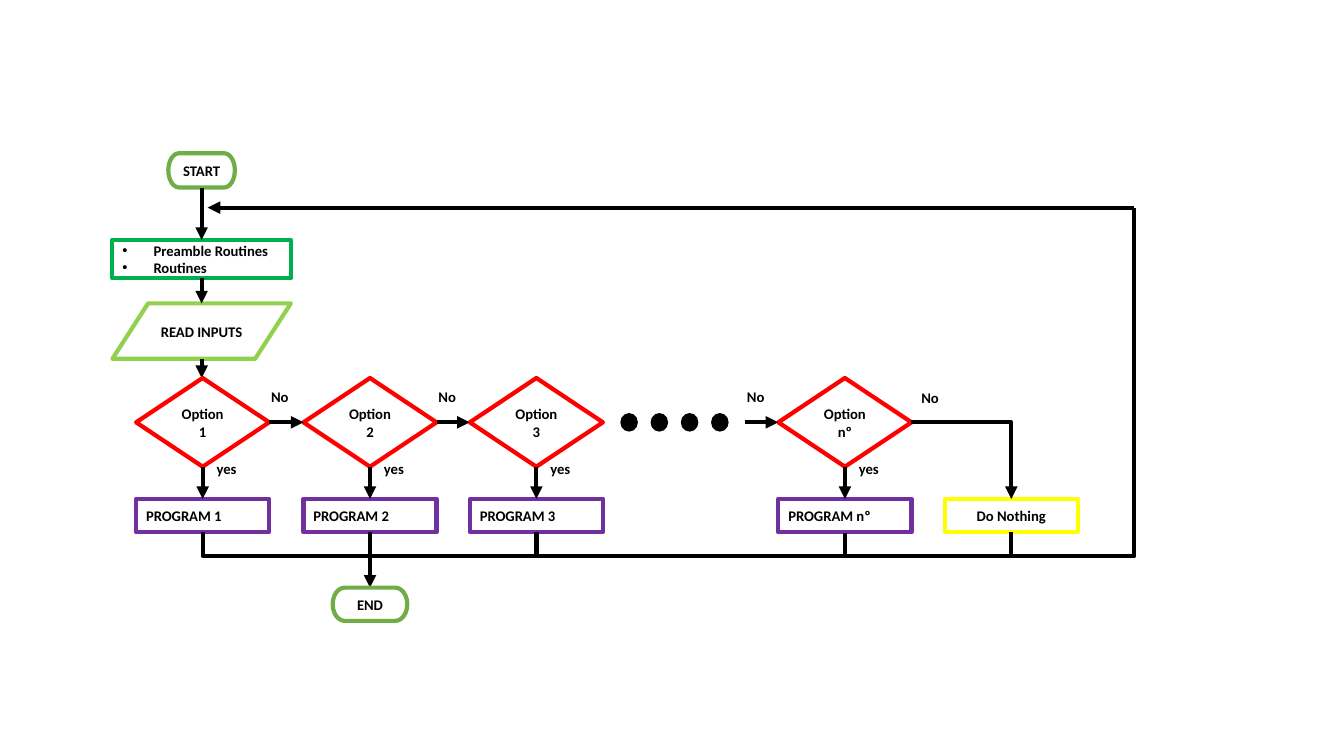
from dataclasses import dataclass

from lxml import etree
from pptx import Presentation
from pptx.dml.color import RGBColor
from pptx.enum.shapes import MSO_CONNECTOR, MSO_SHAPE
from pptx.enum.text import MSO_ANCHOR, MSO_AUTO_SIZE, PP_ALIGN
from pptx.oxml.ns import qn
from pptx.util import Inches, Pt

TERMINATOR = MSO_SHAPE.FLOWCHART_TERMINATOR
INPUT_OUTPUT = MSO_SHAPE.FLOWCHART_DATA
DECISION = MSO_SHAPE.FLOWCHART_DECISION
PROCESS = MSO_SHAPE.FLOWCHART_PROCESS
DOT = MSO_SHAPE.FLOWCHART_CONNECTOR
STRAIGHT, ELBOW = MSO_CONNECTOR.STRAIGHT, MSO_CONNECTOR.ELBOW
LEFT, CENTER = PP_ALIGN.LEFT, PP_ALIGN.CENTER
MIDDLE = MSO_ANCHOR.MIDDLE
FIT_SHAPE = MSO_AUTO_SIZE.SHAPE_TO_FIT_TEXT


@dataclass(frozen=True)
class Theme:
    """Colours and type sizes of the flowchart."""
    ink: str = "000000"
    terminal: str = "70AD47"
    preamble: str = "00B050"
    inputs: str = "92D050"
    option: str = "FF0000"
    program: str = "7030A0"
    idle: str = "FFFF00"
    font: str = "Calibri"
    size: float = 10.5
    weight: float = 3
    dot_weight: float = 1


THEME = Theme()
COLUMNS = [("1", 2.01), ("2", 3.67), ("3", 5.32), ("nº", 8.38)]
IDLE_X, RETURN_X = 10.03, 11.25
BOX_W, BOX_H = 1.32, 0.33
OPTION_TOP, OPTION_H = 3.75, 0.88
OPTION_Y = OPTION_TOP + OPTION_H / 2
PROGRAM_TOP = 4.95
PROGRAM_BOTTOM = PROGRAM_TOP + BOX_H
BUS_Y, RETURN_Y, RETURN_JOINT_Y = 5.52, 2.06, 2.26
END_TOP = 5.83


def color(value):
    """Turn a hex string into a colour."""
    return RGBColor.from_string(value)


def add_text(p, text, align=LEFT):
    """Add one bold run to a paragraph."""
    p.alignment = align
    r = p.add_run()
    r.text = text
    r.font.name, r.font.size, r.font.bold = THEME.font, Pt(THEME.size), True
    r.font.color.rgb = color(THEME.ink)


def add_bullet(p):
    """Give a paragraph a hanging bullet."""
    pPr = p._p.get_or_add_pPr()
    pPr.set("marL", str(Inches(0.31)))
    pPr.set("indent", str(Inches(-0.31)))
    etree.SubElement(pPr, qn("a:buFont")).set("typeface", "Arial")
    etree.SubElement(pPr, qn("a:buChar")).set("char", "•")


def add_node(s, kind, cx, top, width, height, line, lines, align=CENTER, bullets=False):
    """Draw an outlined flowchart node centred on cx."""
    sp = s.shapes.add_shape(kind, Inches(cx - width / 2), Inches(top), Inches(width), Inches(height))
    sp.shadow.inherit = False
    sp.fill.background()
    sp.line.color.rgb = color(line)
    sp.line.width = Pt(THEME.weight)
    tf = sp.text_frame
    tf.word_wrap, tf.vertical_anchor = True, MIDDLE
    for i, text in enumerate(lines):
        p = tf.add_paragraph() if i else tf.paragraphs[0]
        add_text(p, text, align)
        if bullets:
            add_bullet(p)


def add_dot(s, left):
    """Draw one dot of the ellipsis between options."""
    width, height = 0.16, 0.17
    sp = s.shapes.add_shape(DOT, Inches(left), Inches(OPTION_Y - height / 2), Inches(width), Inches(height))
    sp.shadow.inherit = False
    sp.fill.solid()
    sp.fill.fore_color.rgb = color(THEME.ink)
    sp.line.color.rgb = color(THEME.ink)
    sp.line.width = Pt(THEME.dot_weight)


def add_label(s, text, left, top, width):
    """Place a branch label beside a connector."""
    box = s.shapes.add_textbox(Inches(left), Inches(top), Inches(width), Inches(0.28))
    tf = box.text_frame
    tf.word_wrap, tf.auto_size = False, FIT_SHAPE
    add_text(tf.paragraphs[0], text)


def add_link(s, x1, y1, x2, y2, arrow=True, kind=STRAIGHT):
    """Draw a connector, with an arrowhead unless told otherwise."""
    link = s.shapes.add_connector(kind, Inches(x1), Inches(y1), Inches(x2), Inches(y2))
    link.line.color.rgb = color(THEME.ink)
    link.line.width = Pt(THEME.weight)
    if arrow:
        etree.SubElement(link.line._get_or_add_ln(), qn("a:tailEnd")).set("type", "triangle")
    etree.SubElement(link._element.spPr, qn("a:effectLst"))
    return link


def add_corner(s, x1, y1, x2, y2):
    """Draw an arrow that runs across and then down."""
    link = add_link(s, x1, y1, x2, y2, kind=ELBOW)
    link._element.spPr.find(qn("a:prstGeom")).set("prst", "bentConnector2")


def add_dip(s, x1, y1, x2, y2, dip):
    """Draw an elbow that leaves downwards, runs along dip and ends at x2, y2."""
    link = add_link(s, x1, y1, x2, y2, arrow=False, kind=ELBOW)
    width, height = abs(y2 - y1), abs(x2 - x1)
    link.left, link.top = Inches((x1 + x2 - width) / 2), Inches((y1 + y2 - height) / 2)
    link.width, link.height = Inches(width), Inches(height)
    spPr = link._element.spPr
    xfrm = spPr.find(qn("a:xfrm"))
    xfrm.set("rot", str(90 * 60000))
    xfrm.set("flipH", str(int(y2 < y1)))
    xfrm.set("flipV", str(int(x2 > x1)))
    guides = spPr.find(qn("a:prstGeom")).get_or_add_avLst()
    guide = etree.SubElement(guides, qn("a:gd"))
    guide.set("name", "adj1")
    guide.set("fmla", f"val {round((dip - y1) / (y2 - y1) * 100000)}")


def add_entry(s):
    """Draw the steps that lead to the first option."""
    x = 2
    add_node(s, TERMINATOR, x, 1.52, 0.66, 0.34, THEME.terminal, ["START"])
    add_node(s, PROCESS, x, 2.38, 1.77, 0.38, THEME.preamble,
             ["Preamble Routines", "Routines"], LEFT, bullets=True)
    add_node(s, INPUT_OUTPUT, x, 3.01, 1.77, 0.55, THEME.inputs, ["READ INPUTS"])
    for top, bottom in [(1.87, 2.38), (2.76, 3.01), (3.56, OPTION_TOP)]:
        add_link(s, x, top, x, bottom)


def add_branch(s, name, cx):
    """Draw an option, its program and the yes arrow between them."""
    add_node(s, DECISION, cx, OPTION_TOP, BOX_W, OPTION_H, THEME.option, [f"Option {name}"])
    add_node(s, PROCESS, cx, PROGRAM_TOP, BOX_W, BOX_H, THEME.program, [f"PROGRAM {name}"], LEFT)
    add_link(s, cx, OPTION_TOP + OPTION_H, cx, PROGRAM_TOP)
    add_label(s, "yes", cx + 0.04, 4.51, 0.41)


def add_no_paths(s):
    """Draw the no arrows, their labels and the idle box."""
    x1, x2, x3, xn = [cx for _, cx in COLUMNS]
    half = BOX_W / 2
    for start, end in [(x1 + half, x2 - half), (x2 + half, x3 - half), (7.39, xn - half)]:
        add_link(s, start, OPTION_Y, end, OPTION_Y)
        add_label(s, "No", start - 0.08, 3.8, 0.38)
    for i in range(4):
        add_dot(s, 6.16 + 0.3 * i)
    add_node(s, PROCESS, IDLE_X, PROGRAM_TOP, BOX_W, BOX_H, THEME.idle, ["Do Nothing"])
    add_corner(s, xn + half, OPTION_Y, IDLE_X, PROGRAM_TOP)
    add_label(s, "No", xn + half, 3.81, 0.38)


def add_exit(s):
    """Join the programs, end the flow and loop back to the start."""
    x1, x2, x3, xn = [cx for _, cx in COLUMNS]
    for start, end in [(x1, x2), (x3, x2), (x3, xn), (IDLE_X, xn)]:
        add_dip(s, start, PROGRAM_BOTTOM, end, PROGRAM_BOTTOM + 0.01, BUS_Y)
    add_link(s, x2, PROGRAM_BOTTOM, x2, END_TOP)
    add_node(s, TERMINATOR, x2, END_TOP, 0.74, 0.33, THEME.terminal, ["END"])
    add_dip(s, IDLE_X, PROGRAM_BOTTOM, RETURN_X, RETURN_JOINT_Y, BUS_Y)
    add_link(s, RETURN_X, RETURN_JOINT_Y, RETURN_X, RETURN_Y, arrow=False)
    add_link(s, RETURN_X, RETURN_Y, 2.06, RETURN_Y)


def main():
    """Build the flowchart slide."""
    prs = Presentation()
    prs.slide_width, prs.slide_height = Inches(13.33), Inches(7.5)
    s = prs.slides.add_slide(prs.slide_layouts[6])
    add_entry(s)
    for name, cx in COLUMNS:
        add_branch(s, name, cx)
    add_no_paths(s)
    add_exit(s)
    prs.save("out.pptx")


main()
